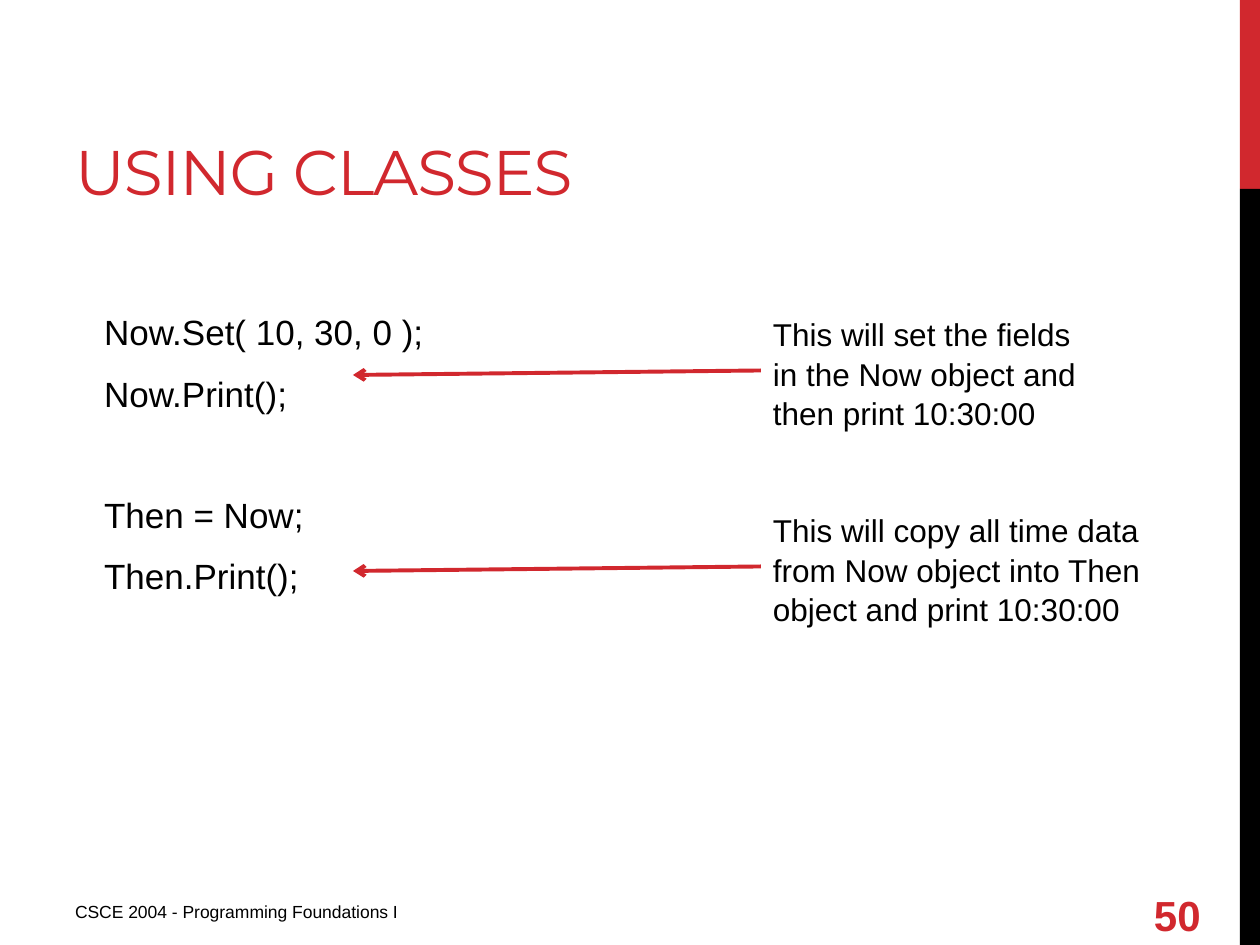
from lxml.etree import SubElement
from pptx import Presentation
from pptx.dml.color import RGBColor
from pptx.enum.shapes import MSO_CONNECTOR as Connector, MSO_SHAPE as Shape
from pptx.enum.text import MSO_ANCHOR as Anchor, PP_ALIGN as Align
from pptx.oxml.ns import qn
from pptx.util import Pt

PX = 914400 // 126  # EMU per px
RED, BLACK = "D1282E", "000000"

# Content
TITLE = "USING CLASSES"
CODE_GROUPS = [
    ["Now.Set( 10, 30, 0 );", "Now.Print();"],
    ["Then = Now;", "Then.Print();"],
]
NOTES = [  # top, width, paragraphs
    (307, 340, ["This will set the fields in the Now object and then print 10:30:00"]),
    (503, 410, ["This will copy all time data",
                "from Now object into Then",
                "object and print 10:30:00"]),
]
FOOTER = "CSCE 2004 - Programming Foundations I"
PAGE_NUMBER = "50"
SIDE_BARS = [(0, 189, RED), (189, 756, BLACK)]  # top, height, colour

# Layout
NOTE_LEFT, NOTE_HEIGHT = 761, 127
ARROW_TIP, ARROW_DROP = 353, 5
CODE_GAP, GROUP_GAP = 5, 39  # points before a line, before a new group


def px(*lengths):
    return [length * PX for length in lengths]


def rgb(colour):
    return RGBColor.from_string(colour)


def write(box, lines, size, colour=BLACK, font="Arial", bold=False,
          insets=(12, 6, 12, 6), anchor=Anchor.TOP):
    frame = box.text_frame
    frame.text = "\n".join(lines)
    frame.word_wrap = True
    frame.vertical_anchor = anchor
    (frame.margin_left, frame.margin_top,
     frame.margin_right, frame.margin_bottom) = px(*insets)
    for para in frame.paragraphs:
        para.alignment = Align.LEFT
        for span in para.runs:
            span.font.name, span.font.size, span.font.bold = font, Pt(size), bold
            span.font.color.rgb = rgb(colour)
    return frame


def add_text(page, area, lines, size, **style):
    box = page.shapes.add_textbox(*px(*area))
    write(box, lines, size, **style)
    return box


def add_arrow(page, note, tip_y):
    arrow = page.shapes.add_connector(
        Connector.STRAIGHT, *px(NOTE_LEFT, tip_y, ARROW_TIP, tip_y))
    arrow.begin_connect(note, 1)
    arrow.line.color.rgb = rgb(RED)
    arrow.line.width = Pt(2.25)
    SubElement(arrow.line._get_or_add_ln(), qn("a:tailEnd"), type="arrow")
    SubElement(arrow._element.spPr, qn("a:effectLst"))


def main():
    deck = Presentation()
    deck.slide_width, deck.slide_height = px(1260, 945)
    page = deck.slides.add_slide(deck.slide_layouts[5])

    # Side bars
    for top, height, colour in SIDE_BARS:
        bar = page.shapes.add_shape(Shape.RECTANGLE, *px(1240, top, 20, height))
        bar.shadow.inherit = False
        bar.fill.solid()
        bar.fill.fore_color.rgb = rgb(colour)
        bar.line.fill.background()

    # Title
    title = page.shapes.title
    title.left, title.top, title.width, title.height = px(63, 21, 798, 189)
    frame = write(title, [TITLE], 36, colour=RED, font="Montserrat",
                  insets=(12, 6, 12, 2), anchor=Anchor.BOTTOM)
    frame.paragraphs[0].runs[0]._r.get_or_add_rPr().set("spc", "-60")

    # Code, with a wider gap before each new group
    lines = [line for group in CODE_GROUPS for line in group]
    gaps = [CODE_GAP if i else GROUP_GAP
            for group in CODE_GROUPS for i in range(len(group))]
    gaps[0] = 0
    code = add_text(page, (92, 305, 640, 300), lines, 20)
    for para, gap in zip(code.text_frame.paragraphs, gaps):
        para.space_before, para.space_after = Pt(gap), Pt(6)

    # Notes, each with an arrow to its code
    for top, width, paragraphs in NOTES:
        note = add_text(page, (NOTE_LEFT, top, width, NOTE_HEIGHT), paragraphs, 18)
        for para in note.text_frame.paragraphs:
            para.line_spacing = 1.05
        add_arrow(page, note, top + NOTE_HEIGHT // 2 + ARROW_DROP)

    # Footer and page number
    add_text(page, (63, 895, 473, 39), [FOOTER], 10)
    add_text(page, (1142, 890, 93, 50), [PAGE_NUMBER], 24, colour=RED,
             bold=True, anchor=Anchor.MIDDLE)

    deck.save("out.pptx")


if __name__ == "__main__":
    main()
